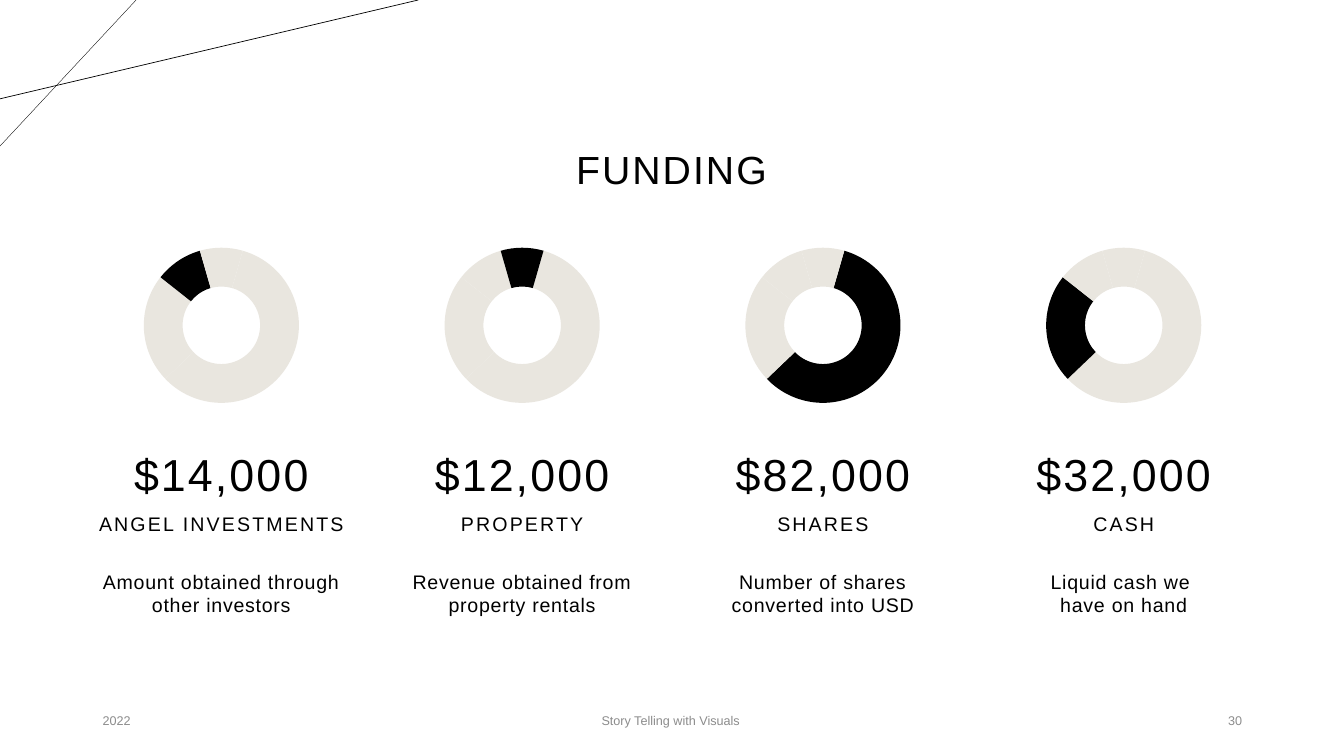
import pptx
import pptx.chart.data
import pptx.dml.color
import pptx.enum.chart
import pptx.enum.shapes
import pptx.enum.text
import pptx.oxml.ns
import pptx.util
from dataclasses import dataclass
from lxml import etree

TITLE = "FUNDING"
SHARES_OF_FUNDING = {"1": 59, "2": 23, "3": 10, "4": 9}
SOURCES = [
    ("$14,000", "ANGEL INVESTMENTS", "Amount obtained through other investors", 2),
    ("$12,000", "PROPERTY", "Revenue obtained from property rentals", 3),
    ("$82,000", "SHARES", "Number of shares converted into USD", 0),
    ("$32,000", "CASH", "Liquid cash we \nhave on hand", 1),
]
FOOTER = [
    ("2022", 2.34, 7.62, "LEFT"),
    ("Story Telling with Visuals ", 11.23, 11.43, "CENTER"),
    ("30", 23.93, 7.62, "RIGHT"),
]
CORNER_LINES = [((3.43, 0), (0, 3.68), 0.25), ((10.54, 0), (0, 2.49), 0.5)]


@dataclass(frozen=True)
class Theme:
    font: str = "Arial"
    ink: str = "000000"
    ring: str = "E9E6DF"
    muted: str = "8C8C8C"
    title: float = 28
    amount: float = 32
    body: float = 14
    chart: float = 10
    footer: float = 9


THEME = Theme()
Cm = pptx.util.Cm
Pt = pptx.util.Pt
qn = pptx.oxml.ns.qn
COLUMN_LEFT, COLUMN_PITCH, COLUMN_WIDTH = 2.34, 7.58, 6.48
RING_WIDTH, RING_HEIGHT, RING_TOP = 5.16, 4.62, 5.89
RING_DIAMETER = 3.91


def colour(value):
    return pptx.dml.color.RGBColor.from_string(value)


def add_text(slide, text, left, top, width, height, size, ink=THEME.ink,
             align="CENTER", anchor="MIDDLE", inset=0.25, tracking=0,
             leading=1.0, before=0):
    frame = slide.shapes.add_textbox(Cm(left), Cm(top), Cm(width), Cm(height)).text_frame
    frame.word_wrap = True
    frame.vertical_anchor = getattr(pptx.enum.text.MSO_ANCHOR, anchor)
    frame.margin_left = frame.margin_right = Cm(inset)
    frame.margin_top = frame.margin_bottom = Cm(0.13)
    paragraph = frame.paragraphs[0]
    paragraph.alignment = getattr(pptx.enum.text.PP_ALIGN, align)
    paragraph.line_spacing = leading
    paragraph.space_before = Pt(before)
    paragraph.text = text
    for run in paragraph.runs:
        run.font.name = THEME.font
        run.font.size = Pt(size)
        run.font.color.rgb = colour(ink)
        run._r.get_or_add_rPr().set("spc", str(int(tracking * 100)))
    for line_break in paragraph._p.findall(qn("a:br")):
        etree.SubElement(line_break, qn("a:rPr")).set("sz", str(int(size * 100)))


def add_corner_line(slide, start, end, weight):
    line = slide.shapes.add_connector(
        pptx.enum.shapes.MSO_CONNECTOR.STRAIGHT, *map(Cm, start + end))
    line.line.color.rgb = colour(THEME.ink)
    line.line.width = Pt(weight)
    etree.SubElement(line._element.spPr, qn("a:effectLst"))


def add_ring(slide, left, highlighted):
    funding = pptx.chart.data.CategoryChartData()
    funding.categories = list(SHARES_OF_FUNDING)
    funding.add_series("Series 1", list(SHARES_OF_FUNDING.values()))
    chart = slide.shapes.add_chart(
        pptx.enum.chart.XL_CHART_TYPE.DOUGHNUT, Cm(left), Cm(RING_TOP),
        Cm(RING_WIDTH), Cm(RING_HEIGHT), funding).chart
    chart.has_title = False
    chart.has_legend = False
    chart.font.name = THEME.font
    chart.font.size = Pt(THEME.chart)
    chart.font.color.rgb = colour(THEME.ink)
    plot = chart.plots[0]
    plot.vary_by_categories = False
    for index in range(len(SHARES_OF_FUNDING)):
        slice_format = plot.series[0].points[index].format
        slice_format.fill.solid()
        slice_format.fill.fore_color.rgb = colour(
            THEME.ink if index == highlighted else THEME.ring)
        slice_format.line.fill.background()
    root = chart._chartSpace
    root.find(".//" + qn("c:firstSliceAng")).set("val", "16")
    root.find(".//" + qn("c:holeSize")).set("val", "80")
    plot_area = root.find(".//" + qn("c:plotArea"))
    for old_layout in plot_area.findall(qn("c:layout")):
        plot_area.remove(old_layout)
    layout = etree.Element(qn("c:layout"))
    plot_area.insert(0, layout)
    manual = etree.SubElement(layout, qn("c:manualLayout"))
    width, height = RING_DIAMETER / RING_WIDTH, RING_DIAMETER / RING_HEIGHT
    settings = {"layoutTarget": "inner", "xMode": "edge", "yMode": "edge",
                "x": (1 - width) / 2, "y": (1 - height) / 2, "w": width, "h": height}
    for name, value in settings.items():
        etree.SubElement(manual, qn("c:" + name)).set("val", str(value))


def main():
    deck = pptx.Presentation()
    deck.slide_width, deck.slide_height = Cm(33.87), Cm(19.05)
    slide = deck.slides.add_slide(deck.slide_layouts[6])
    for start, end, weight in CORNER_LINES:
        add_corner_line(slide, start, end, weight)
    add_text(slide, TITLE, 5.23, 2.49, 23.39, 3.68, THEME.title,
             tracking=1.5, leading=0.9)
    for column, (amount, source, description, highlighted) in enumerate(SOURCES):
        left = COLUMN_LEFT + column * COLUMN_PITCH
        add_ring(slide, left + (COLUMN_WIDTH - RING_WIDTH) / 2, highlighted)
        for text, top, height, size in ((amount, 10.52, 2.24, THEME.amount),
                                        (source, 12.4, 1.22, THEME.body)):
            add_text(slide, text, left, top, COLUMN_WIDTH, height, size,
                     anchor="BOTTOM", inset=0, tracking=1.5, leading=0.9, before=10)
        add_text(slide, description, left, 14.22, COLUMN_WIDTH, 2.36, THEME.body,
                 anchor="TOP", inset=0, tracking=0.5, before=10)
    for text, left, width, align in FOOTER:
        add_text(slide, text, left, 17.65, width, 1.02, THEME.footer,
                 ink=THEME.muted, align=align)
    deck.save("out.pptx")


if __name__ == "__main__":
    main()
